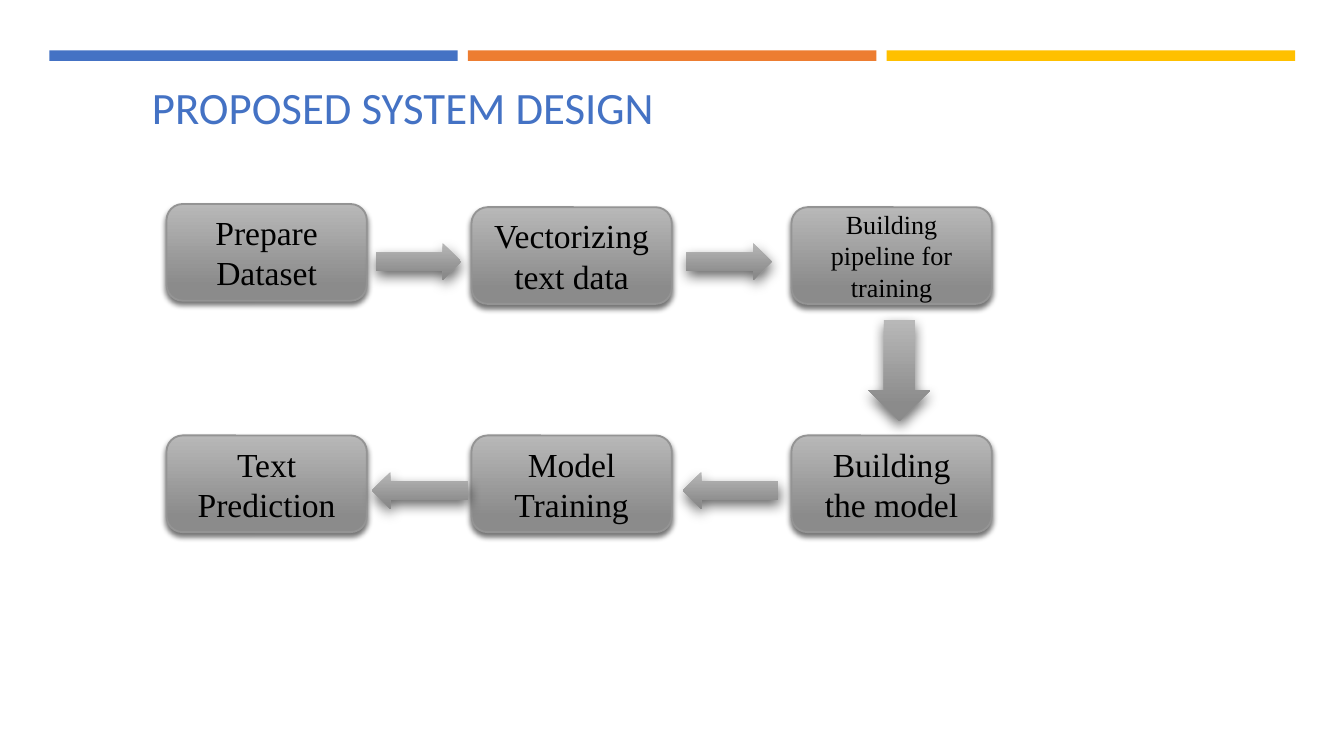
import pptx
import pptx.util
import pptx.dml.color
import pptx.enum.shapes
import pptx.enum.text
import lxml.etree

Pt = pptx.util.Pt
SHAPE = pptx.enum.shapes.MSO_SHAPE
ALIGN = pptx.enum.text.PP_ALIGN
ANCHOR = pptx.enum.text.MSO_ANCHOR
NS = "http://schemas.openxmlformats.org/drawingml/2006/main"

COLORS = {
    "blue": "4472C4", "orange": "ED7D31", "gold": "FFC000",
    "light": "B8B8B8", "dark": "8B8B8B", "edge": "949494", "text": "000000",
}
BOX_W, BOX_H = 107.3, 51.8


def rgb(name):
    return pptx.dml.color.RGBColor.from_string(COLORS[name])


def add_shape(s, kind, x, y, w, h):
    sp = s.shapes.add_shape(kind, Pt(x), Pt(y), Pt(w), Pt(h))
    sp.shadow.inherit = False
    sp.line.fill.background()
    return sp


def add_shadow(sp, alpha, blur, dist, angle):
    effects = sp._element.spPr.find(f"{{{NS}}}effectLst")
    shadow = lxml.etree.SubElement(
        effects, f"{{{NS}}}outerShdw", blurRad=str(Pt(blur)), dist=str(Pt(dist)),
        dir=str(angle * 60000), algn="ctr", rotWithShape="0")
    color = lxml.etree.SubElement(shadow, f"{{{NS}}}srgbClr", val=COLORS["text"])
    lxml.etree.SubElement(color, f"{{{NS}}}alpha", val=str(alpha * 1000))


def fill_gray(sp):
    sp.fill.gradient()
    sp.fill.gradient_angle = 270
    stops = zip(sp.fill.gradient_stops, (0, 0.84), ("light", "dark"))
    for stop, position, name in stops:
        stop.position = position
        stop.color.rgb = rgb(name)


def format_run(r, font, size, color):
    r.font.name = font
    r.font.size = Pt(size)
    r.font.color.rgb = rgb(color)


def add_bars(s, x, y, w, h):
    gap = 5.5
    bar_w = (w - 2 * gap) / 3
    for i, name in enumerate(("blue", "orange", "gold")):
        sp = add_shape(s, SHAPE.RECTANGLE, x + i * (bar_w + gap), y, bar_w, h)
        sp.fill.solid()
        sp.fill.fore_color.rgb = rgb(name)


def add_title(s, x, y, w, h):
    title = s.shapes.title
    title.left, title.top, title.width, title.height = Pt(x), Pt(y), Pt(w), Pt(h)
    tf = title.text_frame
    tf.text = "PROPOSED SYSTEM DESIGN"
    tf.word_wrap = True
    tf.auto_size = pptx.enum.text.MSO_AUTO_SIZE.NONE
    tf.vertical_anchor = ANCHOR.TOP
    tf.margin_left = tf.margin_right = tf.margin_top = tf.margin_bottom = Pt(7.2)
    p = tf.paragraphs[0]
    p.alignment = ALIGN.LEFT
    p.line_spacing = 1
    format_run(p.runs[0], "Calibri", 24, "blue")


def add_step(s, x, y, text, size=18):
    sp = add_shape(s, SHAPE.ROUNDED_RECTANGLE, x, y, BOX_W, BOX_H)
    fill_gray(sp)
    sp.line.color.rgb = rgb("edge")
    sp.line.width = Pt(1)
    add_shadow(sp, 55, 3, 2, 90)
    tf = sp.text_frame
    tf.text = text
    tf.word_wrap = True
    tf.vertical_anchor = ANCHOR.MIDDLE
    p = tf.paragraphs[0]
    p.alignment = ALIGN.CENTER
    format_run(p.runs[0], "Times New Roman", size, "text")


def add_arrow(s, kind, x, y, w, h):
    sp = add_shape(s, kind, x, y, w, h)
    fill_gray(sp)
    add_shadow(sp, 60, 7, 3, 84)


def add_flow(s, x, y):
    columns = (x, x + 163.4, x + 334.8)
    top, bottom = y + 1.7, y + 124
    add_step(s, columns[0], y, "Prepare Dataset")
    add_step(s, columns[1], top, "Vectorizing text data")
    add_step(s, columns[2], top, "Building pipeline for training", 14)
    labels = ("Text Prediction", "Model Training", "Building the model")
    for column, label in zip(columns, labels):
        add_step(s, column, bottom, label)
    for dx in (112.3, 278.6):
        add_arrow(s, SHAPE.RIGHT_ARROW, x + dx, y + 20.9, 45.7, 20)
    for dx in (276.5, 110):
        add_arrow(s, SHAPE.LEFT_ARROW, x + dx, y + 143.5, 51.4, 20)
    add_arrow(s, SHAPE.DOWN_ARROW, x + 376, y + 62.2, 33.2, 54.2)


def main():
    prs = pptx.Presentation()
    prs.slide_width, prs.slide_height = Pt(720), Pt(405)
    s = prs.slides.add_slide(prs.slide_layouts[5])
    add_bars(s, 26.4, 27, 667.4, 5.6)
    add_title(s, 74.2, 35.3, 451.4, 74.2)
    add_flow(s, 89.2, 109.3)
    prs.save("out.pptx")


if __name__ == "__main__":
    main()
